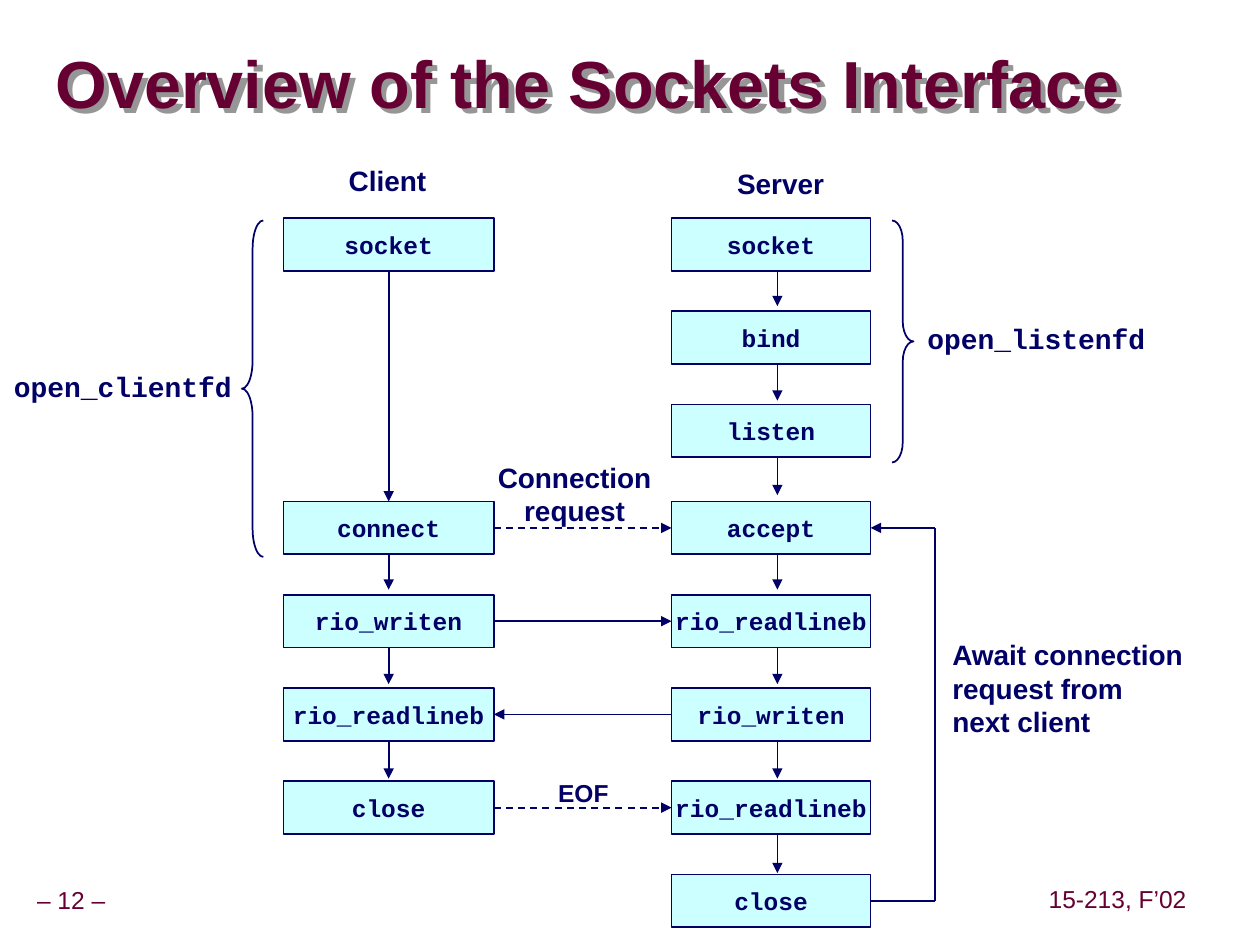
from dataclasses import dataclass

from lxml.etree import SubElement as Sub
from pptx import Presentation
from pptx.dml.color import RGBColor as Rgb
from pptx.enum.dml import MSO_LINE as Dash
from pptx.enum.shapes import MSO_CONNECTOR as Conn, MSO_SHAPE as Shape
from pptx.enum.text import MSO_ANCHOR as Anchor, MSO_AUTO_SIZE as Fit, PP_ALIGN as Align
from pptx.oxml.ns import qn
from pptx.util import Inches, Pt


@dataclass
class Theme:
    ink: Rgb = Rgb(0x00, 0x00, 0x66)
    wine: Rgb = Rgb(0x66, 0x00, 0x33)
    fill: Rgb = Rgb(0xCC, 0xFF, 0xFF)
    shade: str = "969696"
    sans: str = "Arial"
    mono: str = "Courier New"
    head: int = 38
    label: int = 16
    small: int = 14
    line: int = 1


TOP, STEP, SHIFT, HIGH = 1.73, 0.74, 0.03, 0.42
CLIENT, SERVER = (2.25, 1.67), (5.33, 1.58)
UP, LEFT, DOWN, RIGHT = range(4)


def row_top(row):
    """Rows from accept/connect down sit slightly lower."""
    return TOP + STEP * row + (SHIFT if row > 2 else 0)


class Deck:
    def __init__(self, slide, theme):
        self.slide, self.theme = slide, theme
        self.shapes = slide.shapes

    def style(self, par, size, color, font, bold=True, align=Align.CENTER):
        par.alignment = align
        par.font.size, par.font.bold = Pt(size), bold
        par.font.name, par.font.color.rgb = font, color

    def title(self, text, *box):
        t, head = self.theme, self.shapes.title
        head.left, head.top, head.width, head.height = map(Inches, box)
        frame = head.text_frame
        frame.text = text
        frame.auto_size, frame.vertical_anchor = Fit.NONE, Anchor.MIDDLE
        frame.margin_left = frame.margin_right = 0
        frame.margin_top = frame.margin_bottom = 0
        par = frame.paragraphs[0]
        self.style(par, t.head, t.wine, t.sans, align=Align.LEFT)
        par.line_spacing = 0.87
        # Offset grey shadow behind the letters
        effect = Sub(head.element.spPr, qn("a:effectLst"))
        cast = Sub(effect, qn("a:outerShdw"), dist=str(Inches(0.06)),
                   dir="2700000", algn="ctr", rotWithShape="0")
        Sub(cast, qn("a:srgbClr"), val=t.shade)

    def text(self, lines, box, size=None, font=None, color=None, bold=True,
             align=Align.CENTER, pad=0.1, space=None):
        t = self.theme
        frame = self.shapes.add_textbox(*map(Inches, box)).text_frame
        frame.word_wrap, frame.vertical_anchor = False, Anchor.MIDDLE
        frame.auto_size = Fit.SHAPE_TO_FIT_TEXT
        frame.margin_left = frame.margin_right = Inches(pad)
        frame.text = lines
        for par in frame.paragraphs:
            self.style(par, size or t.label, color or t.ink, font or t.sans,
                       bold, align)
            par.line_spacing = space

    def outline(self, line):
        line.color.rgb, line.width = self.theme.ink, Pt(self.theme.line)

    def call(self, name, col, row):
        t, (left, wide) = self.theme, col
        box = self.shapes.add_shape(
            Shape.RECTANGLE, *map(Inches, (left, row_top(row), wide, HIGH)))
        box.shadow.inherit = False
        box.fill.solid()
        box.fill.fore_color.rgb = t.fill
        self.outline(box.line)
        frame = box.text_frame
        frame.text = name
        frame.word_wrap, frame.vertical_anchor = False, Anchor.MIDDLE
        self.style(frame.paragraphs[0], t.small, t.ink, t.mono)
        return box

    def line(self, start=(0, 0), end=(0, 0), tip=True, dash=False, src=None, dst=None):
        """Points are in inches; src and dst are (box, side) joins."""
        link = self.shapes.add_connector(Conn.STRAIGHT, *map(Inches, start + end))
        if src:
            link.begin_connect(*src)
        if dst:
            link.end_connect(*dst)
        self.outline(link.line)
        if dash:
            link.line.dash_style = Dash.DASH
        if tip:
            Sub(link.element.spPr.find(qn("a:ln")), qn("a:tailEnd"), type="triangle")
        Sub(link.element.spPr, qn("a:effectLst"))

    def brace(self, kind, left, top, wide, high):
        mark = self.shapes.add_shape(kind, *map(Inches, (left, top, wide, high)))
        mark.adjustments[0] = high / 12 / wide
        mark.shadow.inherit = False
        mark.fill.background()
        self.outline(mark.line)


def main():
    theme = Theme()
    prs = Presentation()
    prs.slide_width, prs.slide_height = Inches(10), Inches(7.5)
    deck = Deck(prs.slides.add_slide(prs.slide_layouts[5]), theme)

    # Title, footer and column heads
    deck.title("Overview of the Sockets Interface", 0.44, 0.27, 9.53, 0.85)
    foot = dict(size=theme.small, color=theme.wine, bold=False, pad=0.02, space=0.9)
    deck.text("– 12 –", (-0.09, 7, 1.31, 0.31), **foot)
    deck.text("15-213, F’02", (8.27, 6.99, 1.2, 0.31), **foot)
    deck.text("Client", (2.67, 1.25, 0.81, 0.37), pad=0.05)
    deck.text("Server", (5.75, 1.27, 0.89, 0.37), pad=0.05)

    # Call boxes, keyed by row
    client = {row: deck.call(name, CLIENT, row) for row, name in (
        (0, "socket"), (3, "connect"), (4, "rio_writen"),
        (5, "rio_readlineb"), (6, "close"))}
    server = [deck.call(name, SERVER, row) for row, name in enumerate((
        "socket", "bind", "listen", "accept", "rio_readlineb",
        "rio_writen", "rio_readlineb", "close"))]

    # Downward flow in each column
    deck.line(src=(client[0], DOWN), dst=(client[3], UP))
    for row in range(7):
        tip = 2.43 + 0.75 * row
        deck.line((6.17, row_top(row) + HIGH), (6.17, tip))
        if row in (3, 4, 5):
            deck.line(end=(CLIENT[0] + CLIENT[1] / 2, tip), src=(client[row], DOWN))

    # Messages between the columns
    for row in (3, 4, 6):
        deck.line(src=(client[row], RIGHT), dst=(server[row], LEFT), dash=row != 4)
    deck.line(src=(server[5], LEFT), dst=(client[5], RIGHT))
    deck.text("Connection\nrequest", (3.85, 3.6, 1.42, 0.64), pad=0.05)
    deck.text("EOF", (4.33, 6.12, 0.6, 0.34), size=theme.small, pad=0.05)

    # Loop from close back to accept
    low, high = [(7.42, row_top(row) + HIGH / 2) for row in (7, 3)]
    deck.line(end=low, src=(server[7], RIGHT), tip=False)
    deck.line(low, high, tip=False)
    deck.line(high, dst=(server[3], RIGHT))
    deck.text("Await connection\nrequest from\nnext client",
              (7.46, 5.01, 2.03, 0.9), align=Align.LEFT)

    # Helper functions that span several calls
    deck.brace(Shape.RIGHT_BRACE, 7.08, 1.75, 0.17, 1.92)
    deck.text("open_listenfd", (7.26, 2.5, 1.93, 0.37), font=theme.mono, pad=0.05)
    deck.brace(Shape.LEFT_BRACE, 1.92, 1.75, 0.17, 2.67)
    deck.text("open_clientfd", (0.01, 2.88, 1.93, 0.37), font=theme.mono, pad=0.05)

    prs.save("out.pptx")


if __name__ == "__main__":
    main()
